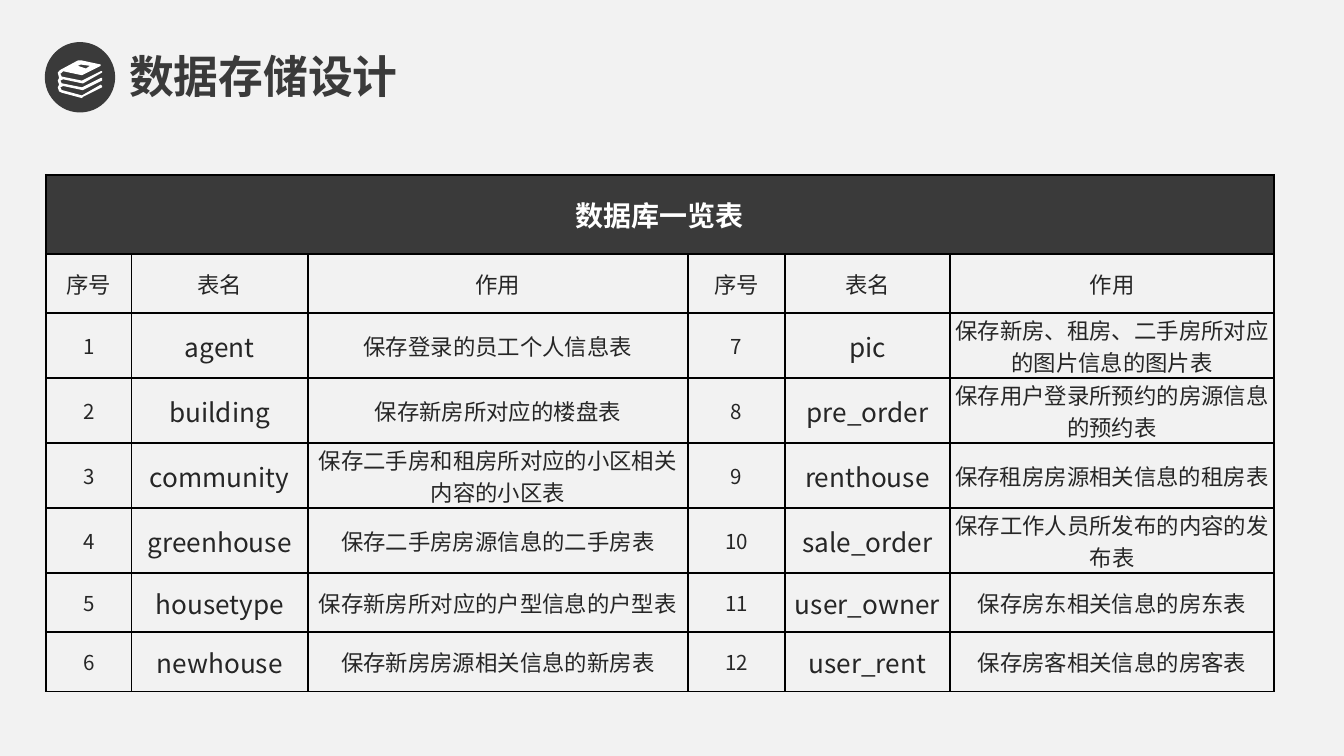
import pptx
import pptx.dml.color
import pptx.enum.shapes
import pptx.enum.text
import pptx.oxml
import pptx.oxml.ns
import pptx.util
from pptx.util import Inches

RGBColor = pptx.dml.color.RGBColor
DARK = RGBColor(0x3A, 0x3A, 0x3A)
LIGHT = RGBColor(0xF2, 0xF2, 0xF2)
WHITE = RGBColor(0xFF, 0xFF, 0xFF)
INK = RGBColor(0x26, 0x26, 0x26)
BLACK = RGBColor(0, 0, 0)
TABLE_FONT = "Noto Sans CJK SC"
MIDDLE = pptx.enum.text.MSO_ANCHOR.MIDDLE
LEFT = pptx.enum.text.PP_ALIGN.LEFT
CENTER = pptx.enum.text.PP_ALIGN.CENTER

TABLE_TITLE = "数据库一览表"
HEADINGS = ["序号", "表名", "作用"]
DATABASE_TABLES = [
    ("agent", "保存登录的员工个人信息表"),
    ("building", "保存新房所对应的楼盘表"),
    ("community", "保存二手房和租房所对应的小区相关内容的小区表"),
    ("greenhouse", "保存二手房房源信息的二手房表"),
    ("housetype", "保存新房所对应的户型信息的户型表"),
    ("newhouse", "保存新房房源相关信息的新房表"),
    ("pic", "保存新房、租房、二手房所对应的图片信息的图片表"),
    ("pre_order", "保存用户登录所预约的房源信息的预约表"),
    ("renthouse", "保存租房房源相关信息的租房表"),
    ("sale_order", "保存工作人员所发布的内容的发布表"),
    ("user_owner", "保存房东相关信息的房东表"),
    ("user_rent", "保存房客相关信息的房客表"),
]
COLUMN_WIDTHS = [0.64, 1.31, 2.83, 0.72, 1.23, 2.41]
ROW_HEIGHTS = [0.59] + [0.44] * 7
COLUMN_SIZES = [11, 14, 12]

BOOK_STACK = [
    (61, 67), (62, 67), (76, 60), (76, 58), (75, 58), (61, 65), (46, 62),
    (45, 60), (47, 59), (61, 62), (62, 62), (76, 54), (76, 53), (75, 53),
    (61, 60), (46, 57), (45, 55), (47, 53), (61, 56), (75, 49), (75, 48),
    (61, 45), (58, 45), (45, 52), (43, 54), (44, 58), (43, 60), (44, 63),
    (43, 65), (44, 68), (46, 69), (61, 73), (62, 72), (76, 65), (76, 64),
    (75, 63), (61, 71), (46, 67), (45, 65), (47, 64),
]
BOOK_LABEL = [(60, 48), (67, 49), (64, 51), (58, 49)]


def write_text(text_frame, text, font, size, color, bold=False, align=LEFT):
    paragraph = text_frame.paragraphs[0]
    paragraph.alignment = align
    run = paragraph.add_run()
    run.text = text
    run.font.name = font
    run.font.size = pptx.util.Pt(size)
    run.font.bold = bold
    run.font.color.rgb = color
    east_asian = pptx.oxml.parse_xml(
        f'<a:ea {pptx.oxml.ns.nsdecls("a")} typeface="{TABLE_FONT}"/>')
    run.font._element.find(pptx.oxml.ns.qn("a:latin")).addnext(east_asian)


class StorageSlide:
    def __init__(self, presentation):
        self.slide = presentation.slides.add_slide(presentation.slide_layouts[5])
        fill = self.slide.background.fill
        fill.solid()
        fill.fore_color.rgb = LIGHT

    def add_title(self, text, left, top, width, height):
        title = self.slide.shapes.title
        title.left, title.top = Inches(left), Inches(top)
        title.width, title.height = Inches(width), Inches(height)
        title.text_frame.auto_size = pptx.enum.text.MSO_AUTO_SIZE.NONE
        title.text_frame.vertical_anchor = MIDDLE
        write_text(title.text_frame, text, font="Arial", size=24, color=DARK, bold=True)

    def paint(self, shape, color):
        shape.shadow.inherit = False
        shape.fill.solid()
        shape.fill.fore_color.rgb = color

    def add_icon(self, left, top, size):
        shapes = self.slide.shapes.add_group_shape().shapes
        disc = shapes.add_shape(pptx.enum.shapes.MSO_SHAPE.OVAL, Inches(left),
                                Inches(top), Inches(size), Inches(size))
        self.paint(disc, DARK)
        disc.line.color.rgb = DARK
        disc.line.width = pptx.util.Pt(1)
        builder = shapes.build_freeform(*BOOK_STACK[0], scale=Inches(0.01))
        builder.add_line_segments(BOOK_STACK[1:], close=True)
        builder.move_to(*BOOK_LABEL[0])
        builder.add_line_segments(BOOK_LABEL[1:], close=True)
        books = builder.convert_to_shape()
        self.paint(books, WHITE)
        books.line.fill.background()

    def style_cell(self, cell, color):
        cell.margin_left = cell.margin_right = Inches(0.01)
        cell.margin_top = cell.margin_bottom = 0
        cell.vertical_anchor = MIDDLE
        properties = cell._tc.get_or_add_tcPr()
        for side in ("lnL", "lnR", "lnT", "lnB"):
            properties.append(pptx.oxml.parse_xml(
                f'<a:{side} {pptx.oxml.ns.nsdecls("a")} w="{pptx.util.Pt(1)}">'
                f'<a:solidFill><a:srgbClr val="{BLACK}"/></a:solidFill></a:{side}>'))
        cell.fill.solid()
        cell.fill.fore_color.rgb = color

    def add_database_table(self, left, top):
        frame = self.slide.shapes.add_table(
            len(ROW_HEIGHTS), len(COLUMN_WIDTHS), Inches(left), Inches(top),
            Inches(sum(COLUMN_WIDTHS)), Inches(sum(ROW_HEIGHTS)))
        table = frame.table
        table.first_row = table.horz_banding = False
        for column, width in zip(table.columns, COLUMN_WIDTHS):
            column.width = Inches(width)
        for row, height in zip(table.rows, ROW_HEIGHTS):
            row.height = Inches(height)
        for row_index, row in enumerate(table.rows):
            for cell in row.cells:
                self.style_cell(cell, LIGHT if row_index else DARK)
        table.cell(0, 0).merge(table.cell(0, len(COLUMN_WIDTHS) - 1))
        write_text(table.cell(0, 0).text_frame, TABLE_TITLE, font=TABLE_FONT,
                   size=15, color=WHITE, bold=True, align=CENTER)
        for column, heading in enumerate(HEADINGS * 2):
            write_text(table.cell(1, column).text_frame, heading, font=TABLE_FONT,
                       size=12, color=INK, align=CENTER)
        half = len(DATABASE_TABLES) // 2
        for index, (name, purpose) in enumerate(DATABASE_TABLES):
            side, row = divmod(index, half)
            values = (str(index + 1), name, purpose)
            for column, (value, size) in enumerate(zip(values, COLUMN_SIZES)):
                cell = table.cell(row + 2, side * len(HEADINGS) + column)
                write_text(cell.text_frame, value, font=TABLE_FONT, size=size,
                           color=INK, align=CENTER)


def main():
    presentation = pptx.Presentation()
    presentation.slide_width = Inches(10)
    presentation.slide_height = Inches(10 * 9 / 16)
    storage = StorageSlide(presentation)
    storage.add_database_table(0.34, 1.3)
    storage.add_title("数据存储设计", 0.86, 0.31, 3.04, 0.5)
    storage.add_icon(0.34, 0.32, 0.51)
    presentation.save("out.pptx")


if __name__ == "__main__":
    main()
